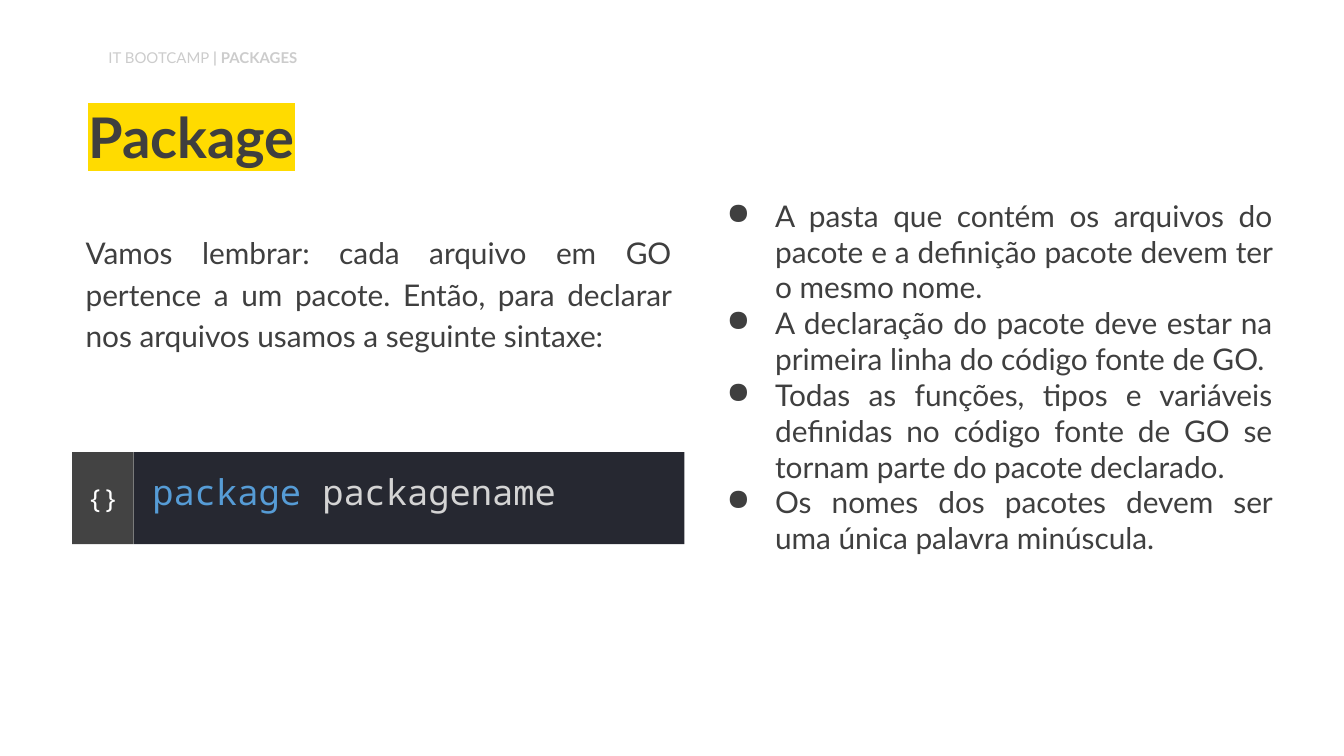
from dataclasses import dataclass

from lxml import etree
from pptx import Presentation
from pptx.dml.color import RGBColor
from pptx.enum.shapes import MSO_SHAPE
from pptx.enum.text import MSO_ANCHOR, PP_ALIGN
from pptx.oxml.ns import qn
from pptx.util import Pt

RECTANGLE = MSO_SHAPE.RECTANGLE
TOP, MIDDLE, BOTTOM = MSO_ANCHOR.TOP, MSO_ANCHOR.MIDDLE, MSO_ANCHOR.BOTTOM
LEFT, CENTER, JUSTIFY = PP_ALIGN.LEFT, PP_ALIGN.CENTER, PP_ALIGN.JUSTIFY


@dataclass(frozen=True)
class Theme:
    sans: str = "Lato"
    mono: str = "Noto Sans Mono"
    ink: str = "3F3F3F"
    faint: str = "CCCCCC"
    marker: str = "FFDB00"
    code_panel: str = "262831"
    code_tab: str = "434343"
    keyword: str = "569CD6"
    code_text: str = "D4D4D4"
    white: str = "FFFFFF"
    header_size: float = 8
    title_size: float = 30
    body_size: float = 16
    code_size: float = 19
    tab_size: float = 14


THEME = Theme()

INTRO = ("Vamos lembrar: cada arquivo em GO pertence a um pacote. "
         "Então, para declarar nos arquivos usamos a seguinte sintaxe:")
RULES = [
    "A pasta que contém os arquivos do pacote e a definição pacote devem ter o mesmo nome.",
    "A declaração do pacote deve estar na primeira linha do código fonte de GO. ",
    "Todas as funções, tipos e variáveis definidas no código fonte de GO "
    "se tornam parte do pacote declarado.",
    "Os nomes dos pacotes devem ser uma única palavra minúscula.",
]


def set_frame(box, anchor, insets=(7.2, 7.2, 7.2, 7.2)):
    frame = box.text_frame
    frame.word_wrap = True
    frame.vertical_anchor = anchor
    (frame.margin_left, frame.margin_top,
     frame.margin_right, frame.margin_bottom) = map(Pt, insets)
    return frame


def add_text_box(page, place, anchor, **options):
    return set_frame(page.shapes.add_textbox(*map(Pt, place)), anchor, **options)


def add_panel(page, place, color, **options):
    panel = page.shapes.add_shape(RECTANGLE, *map(Pt, place))
    panel.shadow.inherit = False
    panel.fill.solid()
    panel.fill.fore_color.rgb = RGBColor.from_string(color)
    panel.line.fill.background()
    return set_frame(panel, MIDDLE, **options)


def style_para(para, font, size, color=None, align=LEFT):
    para.alignment = align
    para.font.name = font
    para.font.size = Pt(size)
    if color:
        para.font.color.rgb = RGBColor.from_string(color)


def add_span(para, text, color=None, bold=None):
    span = para.add_run()
    span.text = text
    span.font.bold = bold
    if color:
        span.font.color.rgb = RGBColor.from_string(color)
    return span


def highlight(span, color):
    mark = etree.Element(qn("a:highlight"))
    etree.SubElement(mark, qn("a:srgbClr"), val=color)
    span.font.fill._xPr.find(qn("a:solidFill")).addnext(mark)


def add_bullet(para, color):
    properties = para._p.get_or_add_pPr()
    properties.set("marL", str(Pt(36)))
    properties.set("indent", str(-Pt(26)))
    bullet_color = etree.Element(qn("a:buClr"))
    etree.SubElement(bullet_color, qn("a:srgbClr"), val=color)
    bullet = etree.Element(qn("a:buChar"), char="●")
    # Bullet marks come after spacing and before the default font
    defaults = properties.find(qn("a:defRPr"))
    defaults.addprevious(bullet_color)
    defaults.addprevious(bullet)


def add_header(page):
    frame = add_text_box(page, (51, 22.3, 226, 19.5), TOP, insets=(7.2, 3.6, 7.2, 3.6))
    para = frame.paragraphs[0]
    style_para(para, THEME.sans, THEME.header_size, THEME.faint)
    para.space_after = Pt(12)
    add_span(para, "IT BOOTCAMP")
    add_span(para, " | PACKAGES", bold=True)


def add_title(page):
    para = add_text_box(page, (40.3, 49, 623, 49.7), BOTTOM).paragraphs[0]
    style_para(para, THEME.sans, THEME.title_size)
    para.line_spacing = 0.9
    highlight(add_span(para, "Package", THEME.ink, bold=True), THEME.marker)


def add_intro(page):
    para = add_text_box(page, (38.8, 98.6, 328.3, 115.2), MIDDLE).paragraphs[0]
    style_para(para, THEME.sans, THEME.body_size, THEME.ink, JUSTIFY)
    para.line_spacing = 1.15
    para.space_before = para.space_after = Pt(10)
    add_span(para, INTRO)


def add_code_block(page):
    left, top, tab_width, width, height = 38.7, 242.2, 33, 328, 49.4
    code = add_panel(page, (left + tab_width, top, width - tab_width, height),
                     THEME.code_panel, insets=(10, 0, 7.2, 7.2)).paragraphs[0]
    style_para(code, THEME.mono, THEME.code_size)
    add_span(code, "package", THEME.keyword)
    add_span(code, " packagename", THEME.code_text)

    tab = add_panel(page, (left, top, tab_width, height), THEME.code_tab).paragraphs[0]
    style_para(tab, THEME.mono, THEME.tab_size, THEME.white, CENTER)
    add_span(tab, "{}")


def add_rules(page):
    frame = add_text_box(page, (372.2, 98.6, 316.8, 270), TOP)
    for index, rule in enumerate(RULES):
        para = frame.add_paragraph() if index else frame.paragraphs[0]
        style_para(para, THEME.sans, THEME.body_size, THEME.ink, JUSTIFY)
        para.space_before = Pt(0 if index else 6)
        add_bullet(para, THEME.ink)
        add_span(para, rule)


def main():
    deck = Presentation()
    deck.slide_width, deck.slide_height = Pt(720), Pt(405)
    page = deck.slides.add_slide(deck.slide_layouts[6])

    # Heading
    add_header(page)
    add_title(page)
    # Left column: reminder and syntax
    add_intro(page)
    add_code_block(page)
    # Right column: package rules
    add_rules(page)

    deck.save("out.pptx")


if __name__ == "__main__":
    main()
